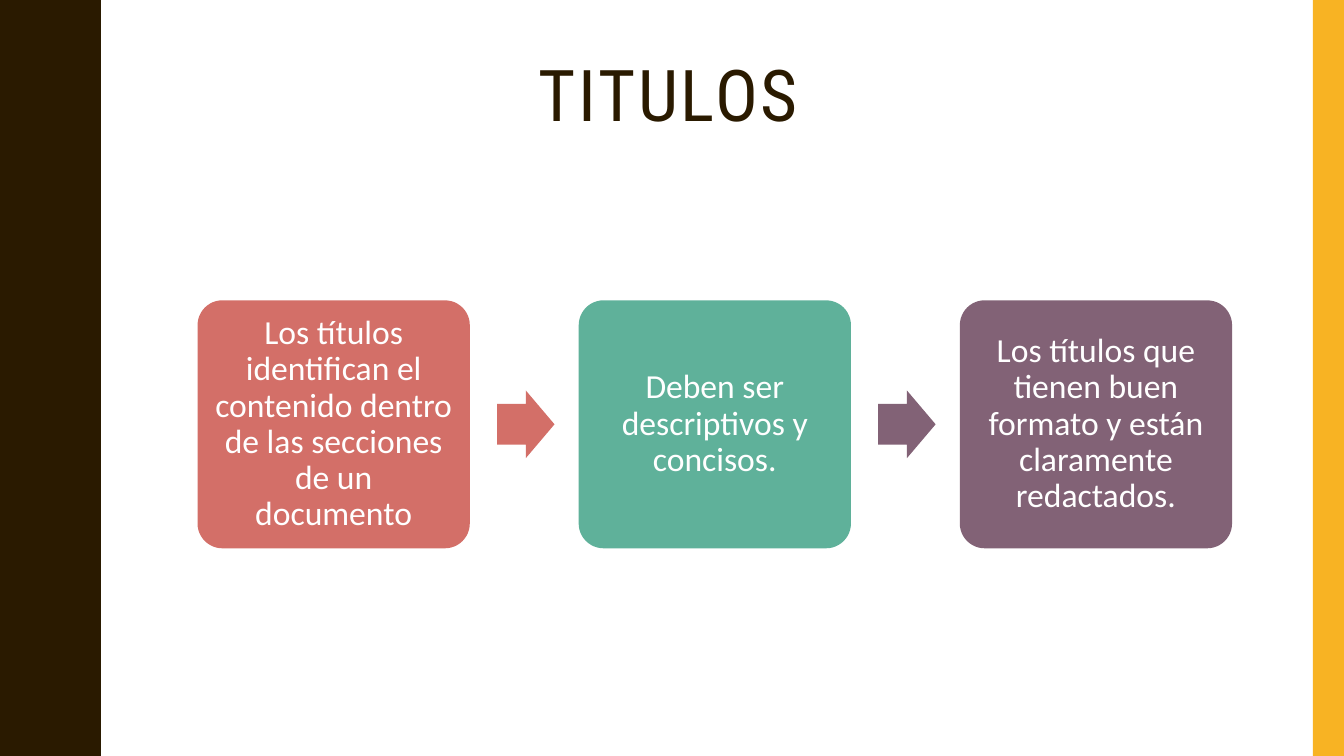
from dataclasses import dataclass

from pptx import Presentation
from pptx.dml.color import RGBColor
from pptx.enum.shapes import MSO_SHAPE as Preset
from pptx.enum.text import MSO_ANCHOR as Anchor, MSO_AUTO_SIZE as AutoSize, PP_ALIGN as Align
from pptx.util import Inches, Pt

SLIDE_WIDTH, SLIDE_HEIGHT = 13.33, 7.5


@dataclass(frozen=True)
class Theme:
    dark: str = "2A1A00"
    gold: str = "F8B323"
    coral: str = "D36F68"
    green: str = "5FB19A"
    plum: str = "826276"
    white: str = "FFFFFF"
    title_font: str = "Roboto Condensed"
    body_font: str = "Calibri"
    title_size: int = 51
    body_size: int = 24


def write(frame, text, *, font, size, color, anchor, inset=(0.1, 0.05), tracking=0):
    """Fill a frame with one centred paragraph; inset is (sides, top and bottom) in inches."""
    frame.word_wrap = True
    frame.auto_size = AutoSize.NONE
    frame.vertical_anchor = anchor
    frame.margin_left = frame.margin_right = Inches(inset[0])
    frame.margin_top = frame.margin_bottom = Inches(inset[1])
    paragraph = frame.paragraphs[0]
    paragraph.alignment = Align.CENTER
    paragraph.line_spacing = 0.9
    run = paragraph.add_run()
    run.text = text
    run.font.name = font
    run.font.size = Pt(size)
    run.font.color.rgb = RGBColor.from_string(color)
    if tracking:
        run.font._element.set("spc", str(tracking * 100))


class ProcessSlide:
    """Places elements on a grid whose origin is the top left of the first card."""

    LEFT, TOP = 1.96, 2.98
    COLUMN, ROW = 0.27, 0.41

    def __init__(self, slide, theme):
        self.slide = slide
        self.theme = theme

    def grid(self, column, row, columns, rows):
        return (
            Inches(self.LEFT + column * self.COLUMN),
            Inches(self.TOP + row * self.ROW),
            Inches(columns * self.COLUMN),
            Inches(rows * self.ROW),
        )

    def paint(self, shape, color):
        shape.shadow.inherit = False
        shape.fill.solid()
        shape.fill.fore_color.rgb = RGBColor.from_string(color)
        shape.line.fill.background()
        return shape

    def preset(self, kind, box, color):
        return self.paint(self.slide.shapes.add_shape(kind, *box), color)

    def wavy_edge(self):
        """Draw the left band; its edge is one swell, mirrored in every other half wave."""
        swell = [
            (0.78, 0), (0.78, 0.07), (0.79, 0.14), (0.8, 0.2), (0.81, 0.25),
            (0.83, 0.29), (0.85, 0.33), (0.87, 0.38), (0.89, 0.42), (0.91, 0.46),
            (0.93, 0.5), (0.95, 0.55), (0.96, 0.61), (0.97, 0.68), (0.97, 0.75),
        ]
        half_waves = 10
        half = SLIDE_HEIGHT / half_waves
        edge = []
        for index in range(half_waves):
            if index % 2 == 0:
                edge += [(x, index * half + y) for x, y in swell[:-1]]
            else:
                edge += [(x, (index + 1) * half - y) for x, y in reversed(swell[1:])]
        edge += [(swell[0][0], SLIDE_HEIGHT), (0, SLIDE_HEIGHT)]
        builder = self.slide.shapes.build_freeform(0, 0, scale=Inches(1))
        builder.add_line_segments(edge, close=True)
        self.paint(builder.convert_to_shape(), self.theme.dark)

    def right_bar(self, width=0.31):
        box = Inches(SLIDE_WIDTH - width), 0, Inches(width), Inches(SLIDE_HEIGHT)
        self.preset(Preset.RECTANGLE, box, self.theme.gold)

    def title(self, text):
        heading = self.slide.shapes.title
        heading.left, heading.top, heading.width, heading.height = self.grid(
            3.19, -5.95, 28.22, 2.44
        )
        write(
            heading.text_frame, text, font=self.theme.title_font,
            size=self.theme.title_size, color=self.theme.dark,
            anchor=Anchor.TOP, tracking=2,
        )

    def card(self, column, text, color):
        card = self.preset(Preset.ROUNDED_RECTANGLE, self.grid(column, 0, 10, 6), color)
        card.adjustments[0] = 0.1
        write(
            card.text_frame, text, font=self.theme.body_font,
            size=self.theme.body_size, color=self.theme.white,
            anchor=Anchor.MIDDLE, inset=(0.09, 0.09),
        )

    def arrow(self, column, color):
        arrow = self.preset(Preset.RIGHT_ARROW, self.grid(column, 2.18, 2.11, 1.64), color)
        arrow.adjustments[0] = 0.6
        arrow.adjustments[1] = 0.5


def main():
    theme = Theme()
    deck = Presentation()
    deck.slide_width, deck.slide_height = Inches(SLIDE_WIDTH), Inches(SLIDE_HEIGHT)
    page = ProcessSlide(deck.slides.add_slide(deck.slide_layouts[5]), theme)

    page.wavy_edge()
    page.right_bar()
    page.title("TITULOS")

    steps = [
        ("Los títulos identifican el contenido dentro de las secciones de un documento",
         theme.coral),
        ("Deben ser descriptivos y concisos.", theme.green),
        ("Los títulos que tienen buen formato y están claramente redactados.", theme.plum),
    ]
    pitch = 14
    for index, (text, color) in enumerate(steps):
        page.card(index * pitch, text, color)
    for index, color in enumerate([theme.coral, theme.plum]):
        page.arrow(index * pitch + 11, color)

    deck.save("out.pptx")


if __name__ == "__main__":
    main()
